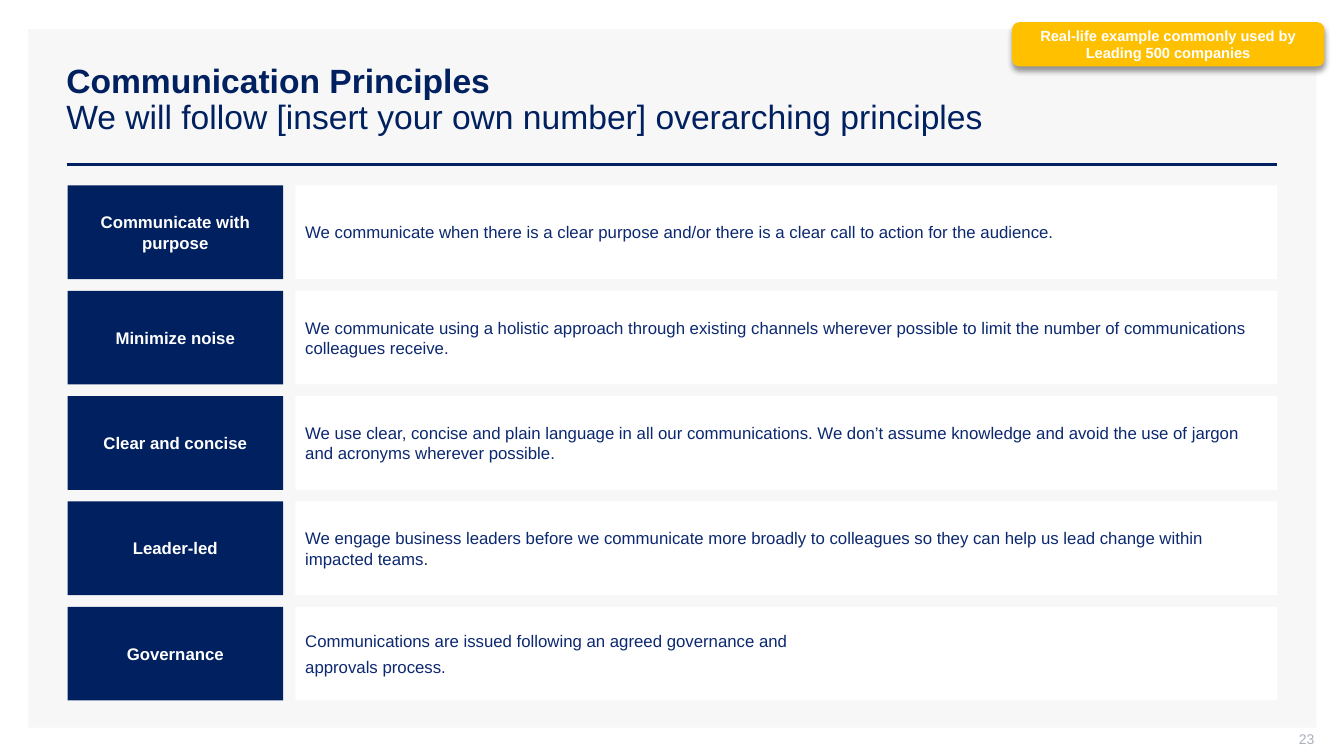
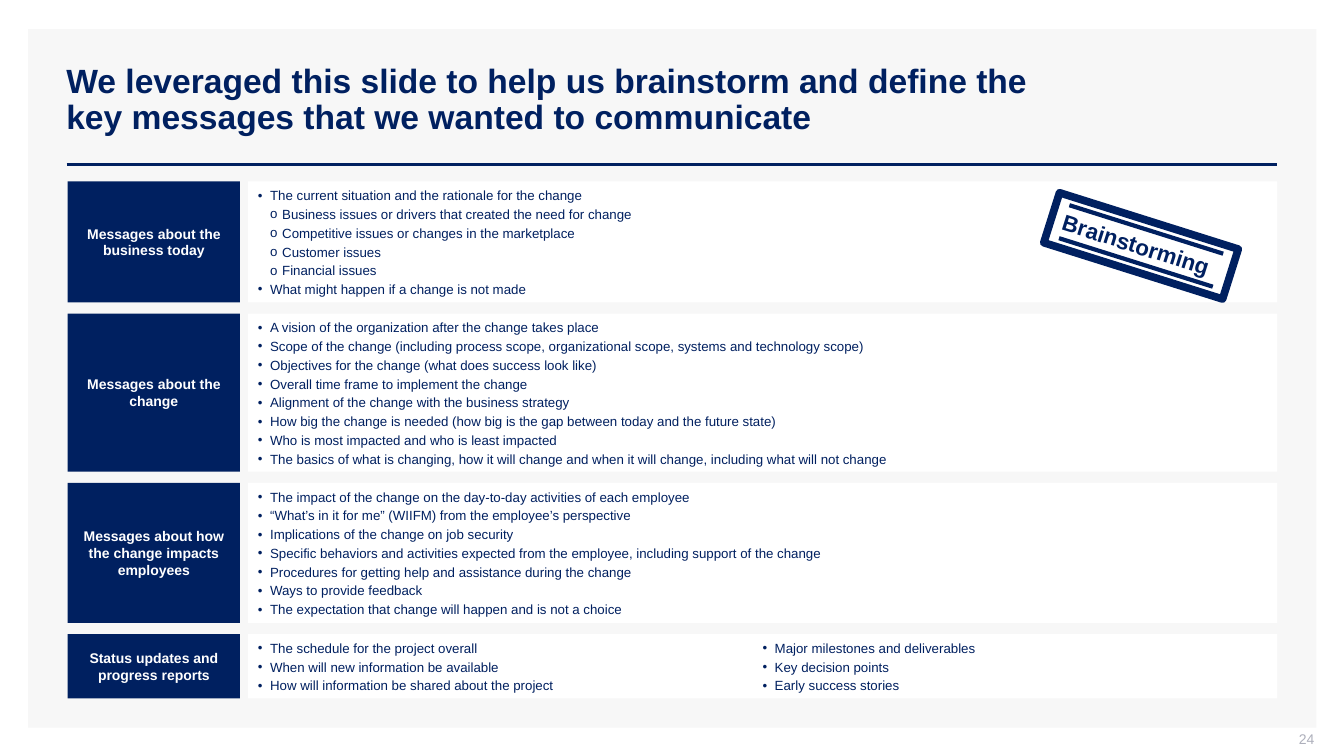
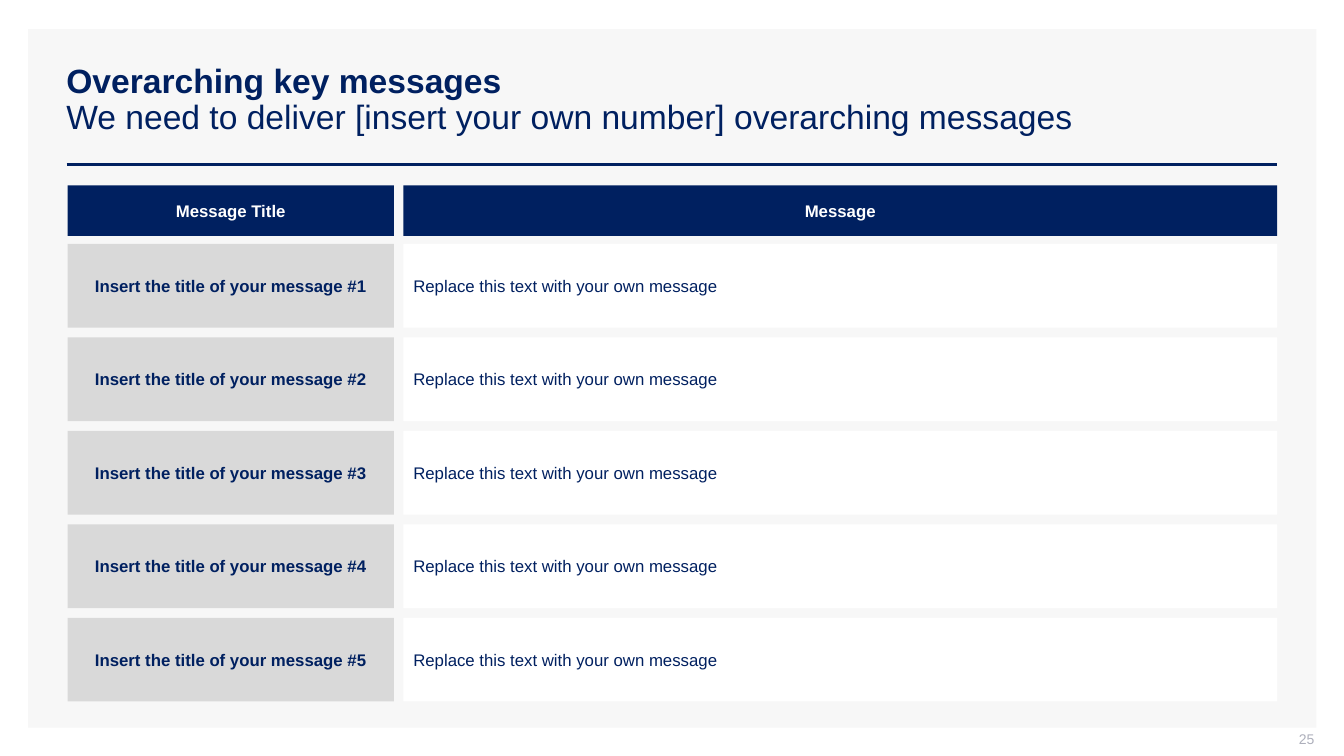
from lxml import etree
from pptx import Presentation
from pptx.dml.color import RGBColor
from pptx.enum.shapes import MSO_CONNECTOR, MSO_SHAPE
from pptx.enum.text import MSO_ANCHOR, PP_ALIGN
from pptx.oxml.ns import qn
from pptx.util import Inches, Pt

RECT, ROUND = MSO_SHAPE.RECTANGLE, MSO_SHAPE.ROUNDED_RECTANGLE
STRAIGHT = MSO_CONNECTOR.STRAIGHT
TOP, MIDDLE = MSO_ANCHOR.TOP, MSO_ANCHOR.MIDDLE
LEFT, CENTER, RIGHT = PP_ALIGN.LEFT, PP_ALIGN.CENTER, PP_ALIGN.RIGHT

NAVY = RGBColor(0x00, 0x20, 0x60)
BLUE = RGBColor(0x0C, 0x28, 0x70)
WHITE = RGBColor(0xFF, 0xFF, 0xFF)
PALE = RGBColor(0xF7, 0xF7, 0xF7)
GREY = RGBColor(0xD9, 0xD9, 0xD9)
MUTED = RGBColor(0xAD, 0xAF, 0xBB)
GOLD = RGBColor(0xFF, 0xC0, 0x00)
FONT = "Arial"

# Boxes are (left, top, width, height) in percent of the slide
WIDE, HIGH = Inches(13.333), Inches(7.5)
PANEL = (2.1, 3.87, 95.85, 92.4)
RULE = (4.95, 21.73, 90.07, 0)
TITLE = (4.2, 5.33, 90.83, 15.87)
SHORT = (4.2, 5.33, 76.58, 15.87)
PAGE = (75.3, 96.67, 22.5, 2.8)
TAG = (75.3, 2.93, 23.25, 5.87)
STAMP = (77.93, 29.07, 13.95, 6.93)
BODY = (5.03, 24.53, 90, 68.13)
DENSE = (5.03, 24, 90, 68.4)
HEAD = (5.03, 24.53, 90, 6.67)
LIST = (5.03, 32.27, 90, 60.53)

PURPOSE = [
    ("Communicate with purpose", ["We communicate when there is a clear purpose and/or there is a clear call to action for the audience."]),
    ("Minimize noise", ["We communicate using a holistic approach through existing channels wherever possible to limit the number of communications colleagues receive."]),
    ("Clear and concise", ["We use clear, concise and plain language in all our communications. We don’t assume knowledge and avoid the use of jargon and acronyms wherever possible."]),
    ("Leader-led", ["We engage business leaders before we communicate more broadly to colleagues so they can help us lead change within impacted teams."]),
    ("Governance", ["Communications are issued following an agreed governance and", "approvals process."]),
]

# Label, row weight, columns, (level, text) items
TOPICS = [
    ("Messages about the business today", 120, 1, [
        (0, "The current situation and the rationale for the change"),
        (1, "Business issues or drivers that created the need for change"),
        (1, "Competitive issues or changes in the marketplace"),
        (1, "Customer issues"),
        (1, "Financial issues"),
        (0, "What might happen if a change is not made")]),
    ("Messages about the change", 157, 1, [
        (0, "A vision of the organization after the change takes place"),
        (0, "Scope of the change (including process scope, organizational scope, systems and technology scope)"),
        (0, "Objectives for the change (what does success look like)"),
        (0, "Overall time frame to implement the change"),
        (0, "Alignment of the change with the business strategy"),
        (0, "How big the change is needed (how big is the gap between today and the future state)"),
        (0, "Who is most impacted and who is least impacted"),
        (0, "The basics of what is changing, how it will change and when it will change, including what will not change")]),
    ("Messages about how the change impacts employees", 139, 1, [
        (0, "The impact of the change on the day-to-day activities of each employee"),
        (0, "“What’s in it for me” (WIIFM) from the employee’s perspective"),
        (0, "Implications of the change on job security"),
        (0, "Specific behaviors and activities expected from the employee, including support of the change"),
        (0, "Procedures for getting help and assistance during the change"),
        (0, "Ways to provide feedback"),
        (0, "The expectation that change will happen and is not a choice")]),
    ("Status updates and progress reports", 64, 2, [
        (0, "The schedule for the project overall"),
        (0, "When will new information be available"),
        (0, "How will information be shared about the project"),
        (0, "Major milestones and deliverables"),
        (0, "Key decision points"),
        (0, "Early success stories")]),
]


def emu(box):
    """Turn percent of the slide into lengths."""
    x, y, w, h = box
    return [int(v * full / 100) for v, full in ((x, WIDE), (y, HIGH), (w, WIDE), (h, HIGH))]


def split(start, size, shares, gap):
    """Cut a length by weight, with equal gaps."""
    unit = (size - gap * (len(shares) - 1)) / sum(shares)
    parts = []
    for share in shares:
        parts.append((start, share * unit))
        start += share * unit + gap
    return parts


def grid(box, cols, rows, gaps):
    """Return the cell boxes, row by row."""
    x, y, w, h = box
    across = split(x, w, cols, gaps[0])
    return [[(cx, cy, cw, ch) for cx, cw in across]
            for cy, ch in split(y, h, rows, gaps[1])]


def write(shape, lines, size, color, bold=False, align=LEFT, anchor=MIDDLE):
    frame = shape.text_frame
    frame.word_wrap = True
    frame.vertical_anchor = anchor
    frame.text = "\n".join(lines)
    for para in frame.paragraphs:
        para.alignment = align
        for run in para.runs:
            style(run, size, color, bold)
    return frame


def style(run, size, color, bold):
    font = run.font
    font.name, font.size, font.bold = FONT, Pt(size), bold
    font.color.rgb = color


def block(parent, box, fill, kind=RECT):
    shape = parent.shapes.add_shape(kind, *emu(box))
    shape.shadow.inherit = False
    shape.fill.solid()
    shape.fill.fore_color.rgb = fill
    shape.line.fill.background()
    return shape


def rule(parent, box, width):
    x, y, w, h = emu(box)
    line = parent.shapes.add_connector(STRAIGHT, x, y, x + w, y + h)
    line.line.color.rgb = NAVY
    line.line.width = Pt(width)
    etree.SubElement(line._element.spPr, qn("a:effectLst"))


def label(slide, box, text, size=12, fill=NAVY, color=WHITE):
    write(block(slide, box, fill), [text], size, color, True, CENTER)


def bullet(para, level):
    props = para._p.get_or_add_pPr()
    props.set("marL", str(Inches(0.12 * (level + 1))))
    props.set("indent", str(-Inches(0.12)))
    para.level = level
    para.space_after = Pt(2)
    tint = etree.SubElement(props, qn("a:buClr"))
    etree.SubElement(tint, qn("a:srgbClr"), val=str(NAVY))
    etree.SubElement(props, qn("a:buFont"), typeface=FONT)
    etree.SubElement(props, qn("a:buChar"), char="•o"[level])


def bullets(slide, box, items, count):
    frame = write(block(slide, box, WHITE), [text for _, text in items], 9.5, NAVY, anchor=TOP)
    frame.margin_top, frame.margin_bottom = Inches(0.06), Inches(0.03)
    if count > 1:
        frame._txBody.bodyPr.set("numCol", str(count))
    for para, (level, _) in zip(frame.paragraphs, items):
        bullet(para, level)


def base(deck, page, title, box=TITLE):
    """Add a slide with its panel, title, rule and page number."""
    slide = deck.slides.add_slide(deck.slide_layouts[6])
    block(slide, PANEL, PALE)
    rule(slide, RULE, 2)
    frame = slide.shapes.add_textbox(*emu(box)).text_frame
    frame.word_wrap = True
    frame.vertical_anchor = MIDDLE
    para = frame.paragraphs[0]
    para.text = title
    para.line_spacing = 0.9
    for at, run in enumerate(para.runs):
        style(run, 24, NAVY, at == 0)
    foot = write(slide.shapes.add_textbox(*emu(PAGE)), [str(page)], 10, MUTED, align=RIGHT)
    foot.margin_top = foot.margin_right = 0
    return slide


def tag(slide, box):
    shape = block(slide, box, GOLD, ROUND)
    write(shape, ["Real-life example commonly used by Leading 500 companies"], 10.5, WHITE, True, CENTER)
    glow = etree.SubElement(shape._element.spPr.find(qn("a:effectLst")), qn("a:outerShdw"),
                            blurRad=str(Pt(4)), dist=str(Pt(3)), dir="5400000", rotWithShape="0")
    tint = etree.SubElement(glow, qn("a:srgbClr"), val="000000")
    etree.SubElement(tint, qn("a:alpha"), val="40000")


def stamp(slide, box):
    x, y, w, h = box
    group = slide.shapes.add_group_shape()
    frame = block(group, box, WHITE)
    frame.line.color.rgb = NAVY
    frame.line.width = Pt(5.5)
    area = (x + w * 0.065, y + h * 0.25, w * 0.87, h * 0.5)
    text = write(group.shapes.add_textbox(*emu(area)), ["Brainstorming"], 16, NAVY, True)
    text.margin_left = text.margin_right = text.margin_top = text.margin_bottom = 0
    for share in (0.17, 0.83):
        rule(group, (x + w * 0.07, y + h * share, w * 0.86, 0), 3)
    group.rotation = 17.5


def principles(deck):
    slide = base(deck, 23, "Communication Principles\nWe will follow [insert your own number] overarching principles")
    cells = grid(BODY, (18, 82), [1] * len(PURPOSE), (0.9, 1.55))
    for (name, body), (text, lines) in zip(cells, PURPOSE):
        label(slide, name, text)
        frame = write(block(slide, body, WHITE), lines, 12, BLUE)
        for para in frame.paragraphs[1:]:
            para.space_before = Pt(4)
    tag(slide, TAG)


def topics(deck):
    slide = base(deck, 24, "We leveraged this slide to help us brainstorm and define the key messages that we wanted to communicate", SHORT)
    cells = grid(DENSE, (14.35, 85.65), [topic[1] for topic in TOPICS], (0.6, 1.47))
    for (name, body), (text, _, count, items) in zip(cells, TOPICS):
        label(slide, name, text, 10)
        bullets(slide, body, items, count)
    stamp(slide, STAMP)


def messages(deck):
    slide = base(deck, 25, "Overarching key messages\nWe need to deliver [insert your own number] overarching messages")
    cols, gaps = (27.2, 72.8), (0.7, 1.3)
    for cell, text in zip(grid(HEAD, cols, [1], gaps)[0], ("Message Title", "Message")):
        label(slide, cell, text)
    for at, (name, body) in enumerate(grid(LIST, cols, [1] * 5, gaps), 1):
        label(slide, name, f"Insert the title of your message #{at}", fill=GREY, color=NAVY)
        write(block(slide, body, WHITE), ["Replace this text with your own message"], 12, NAVY)


def main():
    deck = Presentation()
    deck.slide_width, deck.slide_height = WIDE, HIGH
    principles(deck)
    topics(deck)
    messages(deck)
    deck.save("out.pptx")


if __name__ == "__main__":
    main()
